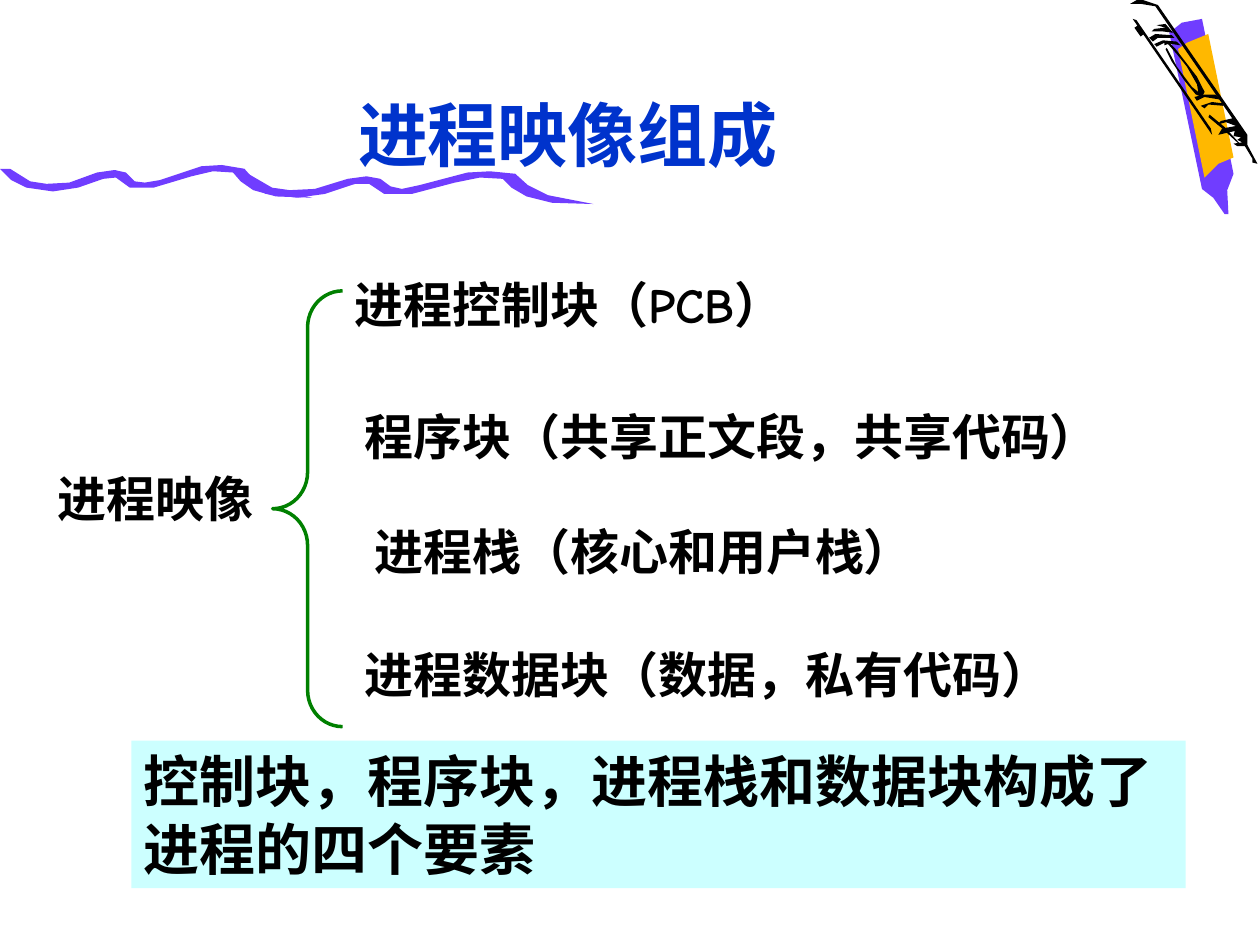
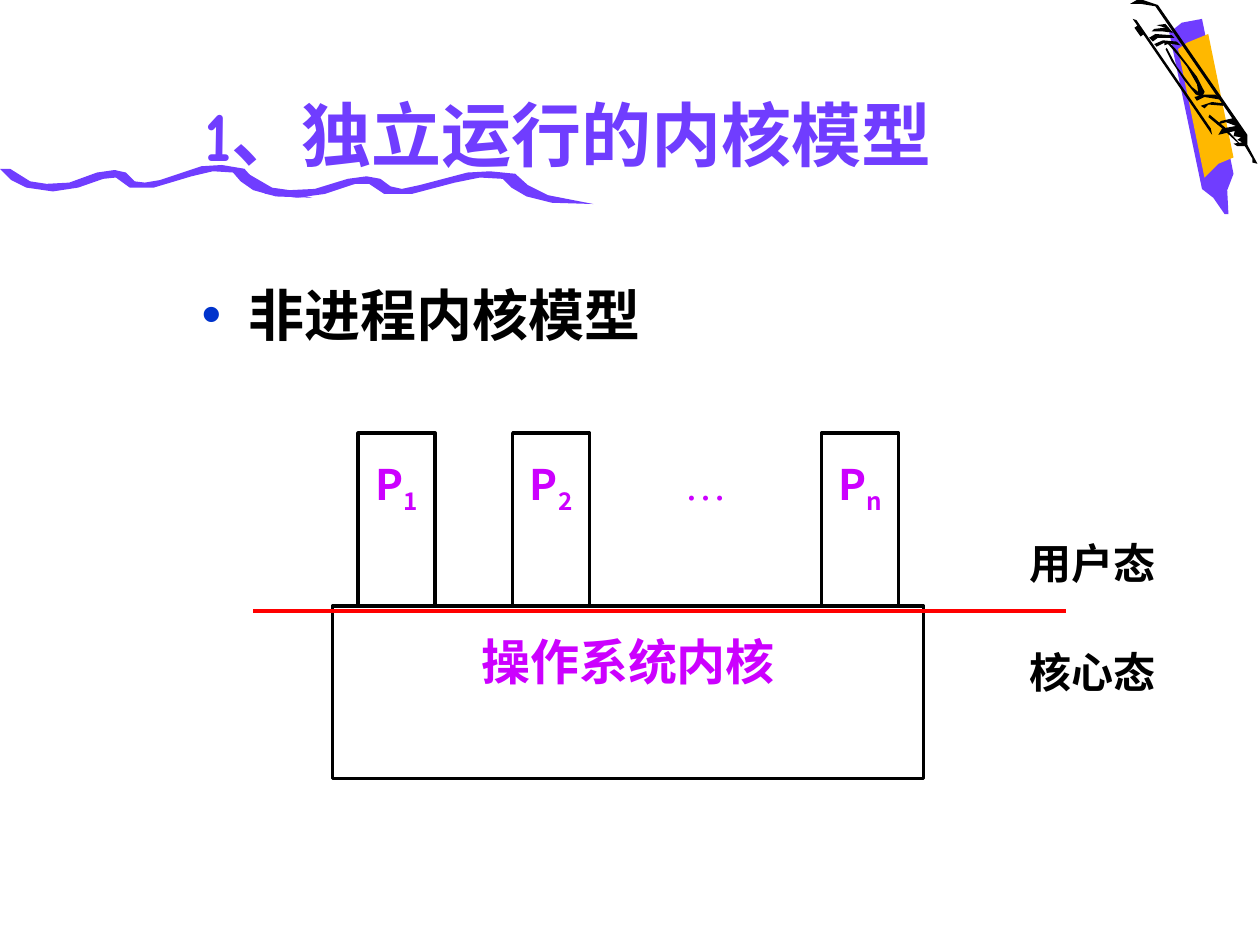
from lxml import etree
from pptx import Presentation
from pptx.dml.color import RGBColor
from pptx.enum.shapes import MSO_CONNECTOR, MSO_SHAPE
from pptx.enum.text import MSO_ANCHOR, MSO_AUTO_SIZE, PP_ALIGN
from pptx.oxml.ns import qn
from pptx.util import Pt

STRAIGHT = MSO_CONNECTOR.STRAIGHT
RECT, BRACE = MSO_SHAPE.RECTANGLE, MSO_SHAPE.LEFT_BRACE
TOP, BOTTOM = MSO_ANCHOR.TOP, MSO_ANCHOR.BOTTOM
LEFT, CENTER = PP_ALIGN.LEFT, PP_ALIGN.CENTER
NO_FIT, GROW = MSO_AUTO_SIZE.NONE, MSO_AUTO_SIZE.SHAPE_TO_FIT_TEXT
TITLE_AND_BODY, TITLE_ONLY = 1, 5

COMIC, CJK, TIMES = "Comic Neue", "Noto Sans CJK JP", "Times New Roman"
BLACK, WHITE = "000000", "FFFFFF"
PURPLE, BLUE, ORANGE = "703DFF", "0033CC", "FFB800"
GREEN, RED, MAGENTA, CYAN = "008000", "FF0000", "CC00FF", "CCFFFF"

# Outlines of the template art, in hundredths of an inch
ART_UNIT = Pt(0.72)
PENCIL = [(928, 26), (954, 150), (963, 157), (972, 170), (975, 170), (974, 151),
          (979, 138), (954, 15), (938, 18)]
PENCIL_LABEL = [(956, 141), (967, 130), (979, 125), (959, 27), (942, 34), (935, 39)]
WAVE_LEFT = [
    (8, 134), (24, 144), (37, 146), (55, 145), (77, 137), (91, 135), (100, 137),
    (107, 144), (115, 145), (127, 143), (160, 132), (176, 131), (194, 134),
    (202, 143), (216, 150), (248, 157), (219, 156), (201, 151), (191, 144),
    (185, 137), (169, 136), (152, 140), (122, 149), (103, 149), (92, 141),
    (82, 142), (62, 149), (42, 152), (21, 149), (9, 143), (0, 134)]
WAVE_RIGHT = [
    (197, 138), (216, 149), (230, 151), (250, 150), (276, 142), (291, 140),
    (302, 142), (310, 148), (319, 150), (333, 147), (371, 137), (389, 136),
    (409, 138), (419, 147), (435, 155), (471, 162), (438, 161), (418, 156),
    (406, 149), (399, 142), (381, 141), (361, 145), (327, 154), (305, 154),
    (293, 146), (282, 146), (258, 154), (236, 157), (211, 154), (198, 147),
    (188, 139)]
INK_STROKES = [
    [(959, 93), (970, 102), (984, 115), (984, 114), (972, 101), (960, 91)],
    [(914, 25), (923, 25), (931, 26), (925, 19), (918, 20), (925, 22), (916, 23)],
    [(925, 39), (930, 49), (940, 64), (949, 75), (954, 77), (956, 73), (950, 61),
     (940, 48), (933, 39), (927, 33), (924, 33), (924, 36), (927, 35), (934, 43),
     (942, 53), (950, 67), (951, 73), (946, 69), (934, 53), (926, 38)],
    [(899, 15), (962, 107), (961, 102), (902, 16)],
    [(967, 107), (970, 102), (981, 100), (973, 97), (966, 99), (969, 96), (978, 94),
     (917, 5), (905, 3), (897, 3), (904, -1), (919, 4), (990, 107), (990, 115),
     (998, 130), (994, 129), (994, 126), (988, 116), (982, 116), (979, 114),
     (986, 113), (982, 111), (985, 109), (979, 108), (980, 104)],
    [(956, 86), (959, 83), (971, 84), (970, 82), (962, 81), (953, 84)],
    [(950, 80), (956, 77), (968, 79), (965, 75), (956, 75), (948, 77)],
    [(918, 37), (924, 34), (937, 36), (934, 33), (923, 32), (916, 35)],
    [(915, 33), (919, 30), (932, 30), (930, 28), (917, 27), (912, 30)]]
ART = [(PENCIL, PURPLE), (PENCIL_LABEL, ORANGE), (WAVE_LEFT, PURPLE),
       (WAVE_RIGHT, PURPLE)] + [(stroke, BLACK) for stroke in INK_STROKES]


def rgb(value):
    return RGBColor.from_string(value)


def write(tf, text, sub="", font=COMIC, ea=CJK, size=28, color=BLACK, bold=True,
          align=LEFT):
    """Put one paragraph in a text frame, with an optional subscript after it."""
    p = tf.paragraphs[0]
    p.alignment = align
    p.space_before = Pt(0)
    for part in filter(None, (text, sub)):
        r = p.add_run()
        r.text = part
        r.font.name, r.font.size, r.font.bold = font, Pt(size), bold
        r.font.color.rgb = rgb(color)
        rPr = r.font._element
        etree.SubElement(rPr, qn("a:ea"), typeface=ea)
        if part is sub:
            rPr.set("baseline", "-25000")


def place(sp, x, y, w, h):
    sp.left, sp.top, sp.width, sp.height = Pt(x), Pt(y), Pt(w), Pt(h)


class Deck:
    def __init__(self):
        self.prs = Presentation()
        self.prs.slide_width, self.prs.slide_height = Pt(720), Pt(540)
        self.slide = None

    def add_slide(self, title, layout=TITLE_ONLY, color=PURPLE):
        self.slide = self.prs.slides.add_slide(self.prs.slide_layouts[layout])
        sp = self.slide.shapes.title
        place(sp, 54, 37.5, 541, 66.5)
        tf = sp.text_frame
        tf.vertical_anchor, tf.auto_size = BOTTOM, NO_FIT
        write(tf, title, size=40, color=color, align=CENTER)

    def bullet(self, text, x, y, w, h):
        sp = self.slide.placeholders[1]
        place(sp, x, y, w, h)
        tf = sp.text_frame
        tf.auto_size = NO_FIT
        pPr = tf.paragraphs[0]._p.get_or_add_pPr()
        pPr.set("marL", str(Pt(27)))
        pPr.set("indent", str(-Pt(27)))
        bullet_color = etree.SubElement(pPr, qn("a:buClr"))
        etree.SubElement(bullet_color, qn("a:srgbClr"), val=BLUE)
        etree.SubElement(pPr, qn("a:buChar"), char="•")
        write(tf, text, size=32)

    def text(self, text, x, y, w, h, **fmt):
        tf = self.slide.shapes.add_textbox(Pt(x), Pt(y), Pt(w), Pt(h)).text_frame
        tf.word_wrap, tf.auto_size = False, GROW
        write(tf, text, **fmt)

    def shape(self, kind, x, y, w, h, fill=None, line=None):
        sp = self.slide.shapes.add_shape(kind, Pt(x), Pt(y), Pt(w), Pt(h))
        sp.shadow.inherit = False
        if fill:
            sp.fill.solid()
            sp.fill.fore_color.rgb = rgb(fill)
        else:
            sp.fill.background()
        if line:
            sp.line.color.rgb, sp.line.width = rgb(line), Pt(2)
        else:
            sp.line.fill.background()
        return sp

    def box(self, text, x, y, w, h, fill=WHITE, line=BLACK, margin=14.4, **fmt):
        """Rectangle with text at its top; margin is the inset above and below."""
        tf = self.shape(RECT, x, y, w, h, fill, line).text_frame
        tf.word_wrap, tf.vertical_anchor = True, TOP
        tf.margin_top = tf.margin_bottom = Pt(margin)
        write(tf, text, **fmt)

    def line(self, x1, y1, x2, y2, color, width, shapes=None):
        shapes = shapes or self.slide.shapes
        cn = shapes.add_connector(STRAIGHT, Pt(x1), Pt(y1), Pt(x2), Pt(y2))
        cn.line.color.rgb, cn.line.width = rgb(color), Pt(width)
        etree.SubElement(cn._element.spPr, qn("a:effectLst"))

    def outline(self, points, fill, shapes):
        builder = shapes.build_freeform(*points[0], scale=ART_UNIT)
        builder.add_line_segments(points[1:], close=True)
        sp = builder.convert_to_shape()
        sp.shadow.inherit = False
        sp.fill.solid()
        sp.fill.fore_color.rgb = rgb(fill)
        sp.line.fill.background()

    def master_art(self):
        """Draw the pencil and wave as a group and move it to the slide master."""
        group = self.slide.shapes.add_group_shape()
        for points, fill in ART:
            self.outline(points, fill, group.shapes)
        self.line(649.5, 15, 653, 20, BLACK, 3, group.shapes)
        for number, props in enumerate(group._element.iter(qn("p:cNvPr")), 100):
            props.set("id", str(number))
        self.prs.slide_master.shapes.element.insert(2, group._element)


def image_slide(deck):
    deck.add_slide("进程映像组成", color=BLUE)
    deck.master_art()
    deck.text("进程映像", 26, 264, 128, 41)
    brace = deck.shape(BRACE, 155.75, 166.25, 40, 249, line=GREEN)
    brace.adjustments[0] = 0.52
    # Each width leaves a little room beyond the text, so that it stays on one line
    for part, x, y, w in [("进程控制块（PCB）", 195.5, 153.25, 276),
                          ("程序块（共享正文段，共享代码）", 201.5, 229, 440),
                          ("进程栈（核心和用户栈）", 207, 294.5, 328),
                          ("进程数据块（数据，私有代码）", 201.5, 364.5, 412)]:
        deck.text(part, x, y, w, 41)
    deck.box("控制块，程序块，进程栈和数据块构成了进程的四个要素",
             75, 423.25, 602.5, 84.25, fill=CYAN, line=None, margin=3.6, size=32)


def kernel_slide(deck):
    deck.add_slide("1、独立运行的内核模型", TITLE_AND_BODY)
    deck.bullet("非进程内核模型", 108, 156.75, 612, 324)
    height, kernel_top = 98.75, 346.25
    fmt = dict(color=MAGENTA, align=CENTER)
    deck.box("操作系统内核", 190, kernel_top, 337.75, height, font=CJK, **fmt)
    for i, index in enumerate(["1", "2", None, "n"]):
        frame = (204.75 + 88.25 * i, kernel_top - height, 44, height)
        if index:
            deck.box("P", *frame, sub=index, font=CJK, size=24, **fmt)
        else:
            deck.box("…", *frame, fill=None, line=None, font=TIMES, ea=TIMES,
                     size=24, bold=False, **fmt)
    deck.line(144.75, 349.25, 609, 349.25, RED, 2.25)
    for mode, y in [("用户态", 303.75), ("核心态", 365.75)]:
        deck.text(mode, 581, y, 88, 36, font=TIMES, size=24)


def main():
    deck = Deck()
    image_slide(deck)
    kernel_slide(deck)
    deck.prs.save("out.pptx")


if __name__ == "__main__":
    main()
